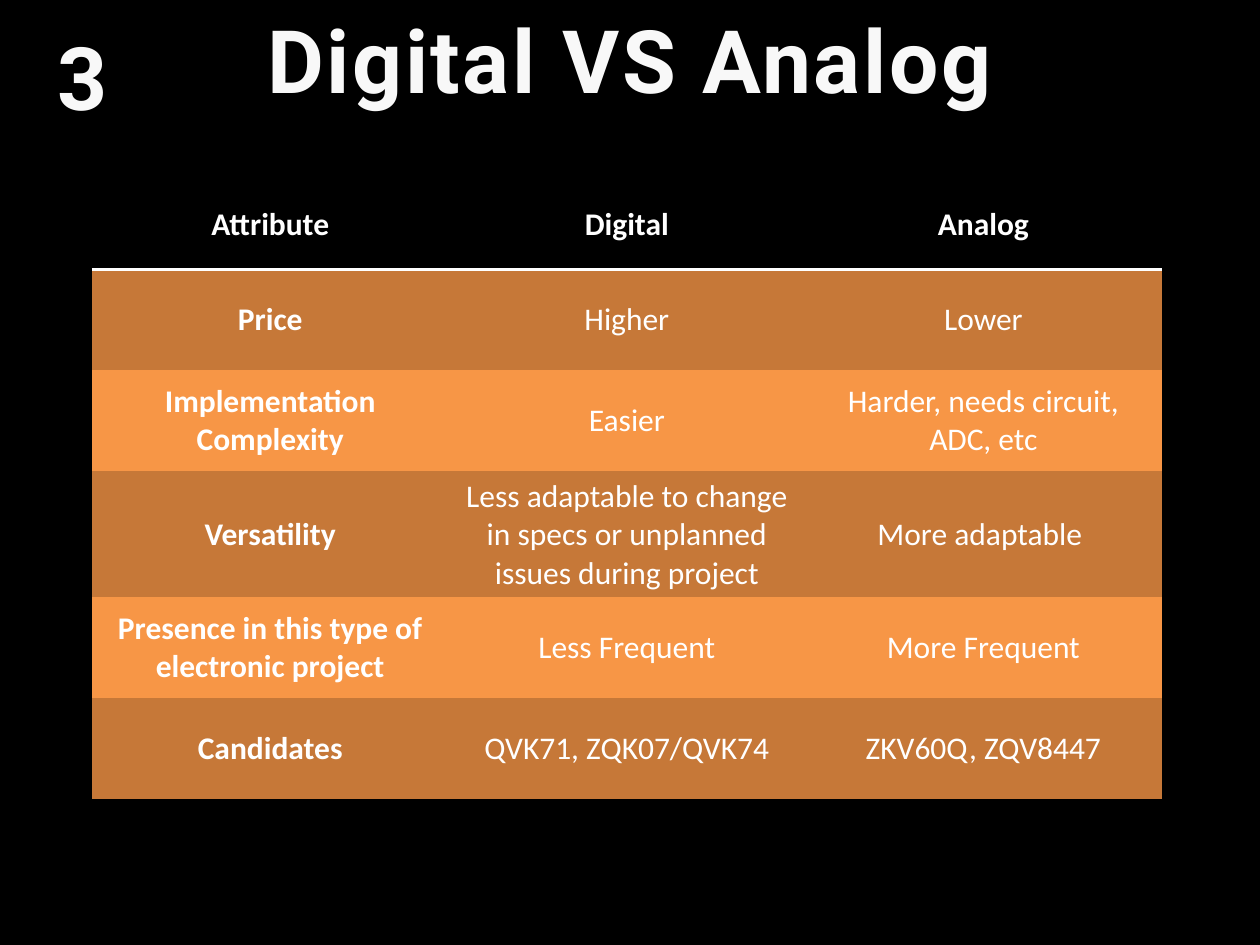
from lxml.etree import SubElement
from pptx import Presentation
from pptx.dml.color import RGBColor
from pptx.enum.text import MSO_ANCHOR as Anchor, PP_ALIGN as Align
from pptx.oxml import parse_xml
from pptx.oxml.ns import nsdecls, qn
from pptx.util import Inches, Pt

BLACK = RGBColor(0x00, 0x00, 0x00)
WHITE = RGBColor(0xFF, 0xFF, 0xFF)
OFF_WHITE = RGBColor(0xF8, 0xF8, 0xF8)
BROWN = RGBColor(0xC6, 0x78, 0x38)
ORANGE = RGBColor(0xF7, 0x96, 0x46)

NO_STYLE = "{2D5ABB26-0587-4C30-8999-92F81FD0307C}"
COLUMN_WIDTH = 2.83
ROW_HEIGHTS = [0.72, 0.8, 0.8, 0.96, 0.8, 0.8]
ROWS = [
    ["Attribute", "Digital", "Analog"],
    ["Price", "Higher", "Lower"],
    ["Implementation Complexity", "Easier", "Harder, needs circuit, ADC, etc"],
    ["Versatility",
     "Less adaptable to change in specs or unplanned issues during project",
     "More adaptable "],
    ["Presence in this type of electronic project", "Less Frequent", "More Frequent"],
    ["Candidates", "QVK71, ZQK07/QVK74", "ZKV60Q, ZQV8447"],
]


def write_text(tf, text, *, font="Calibri", size=18, color=WHITE, bold=False, spacing=0):
    p = tf.paragraphs[0]
    p.alignment = Align.CENTER
    r = p.add_run()
    r.text = text
    r.font.name = font
    r.font.size = Pt(size)
    r.font.bold = bold
    r.font.color.rgb = color
    if spacing:
        r.font._element.set("spc", str(int(spacing * 100)))


def add_heading(slide, text, left, top, width, height):
    box = slide.shapes.add_textbox(Inches(left), Inches(top), Inches(width), Inches(height))
    tf = box.text_frame
    tf.word_wrap = True
    tf.vertical_anchor = Anchor.TOP
    write_text(tf, text, font="Roboto", size=50, color=OFF_WHITE, bold=True, spacing=1.5)


def add_bottom_border(cell, color, width):
    line = parse_xml(f'<a:lnB {nsdecls("a")} w="{Pt(width)}"/>')
    fill = SubElement(line, qn("a:solidFill"))
    SubElement(fill, qn("a:srgbClr"), val=str(color))
    cell._tc.get_or_add_tcPr().insert(0, line)


def add_comparison_table(slide, left, top):
    columns = len(ROWS[0])
    frame = slide.shapes.add_table(
        len(ROWS), columns, Inches(left), Inches(top),
        Inches(COLUMN_WIDTH * columns), Inches(sum(ROW_HEIGHTS)))
    table = frame.table
    table._tbl.tblPr.find(qn("a:tableStyleId")).text = NO_STYLE
    for column in table.columns:
        column.width = Inches(COLUMN_WIDTH)
    for i, (texts, height) in enumerate(zip(ROWS, ROW_HEIGHTS)):
        table.rows[i].height = Inches(height)
        is_header = i == 0
        band = BLACK if is_header else BROWN if i % 2 else ORANGE
        for j, text in enumerate(texts):
            cell = table.cell(i, j)
            cell.vertical_anchor = Anchor.MIDDLE
            cell.fill.solid()
            cell.fill.fore_color.rgb = band
            write_text(cell.text_frame, text, bold=is_header or j == 0)
            if is_header:
                add_bottom_border(cell, WHITE, 2)


def main():
    prs = Presentation()
    prs.slide_width, prs.slide_height = Inches(10), Inches(7.5)
    s = prs.slides.add_slide(prs.slide_layouts[6])
    s.background.fill.solid()
    s.background.fill.fore_color.rgb = BLACK
    add_heading(s, "Digital VS Analog", 1.55, 0, 6.9, 1.24)
    add_heading(s, "3", 0.29, 0.13, 0.73, 0.94)
    add_comparison_table(s, 0.73, 1.42)
    prs.save("out.pptx")


if __name__ == "__main__":
    main()
